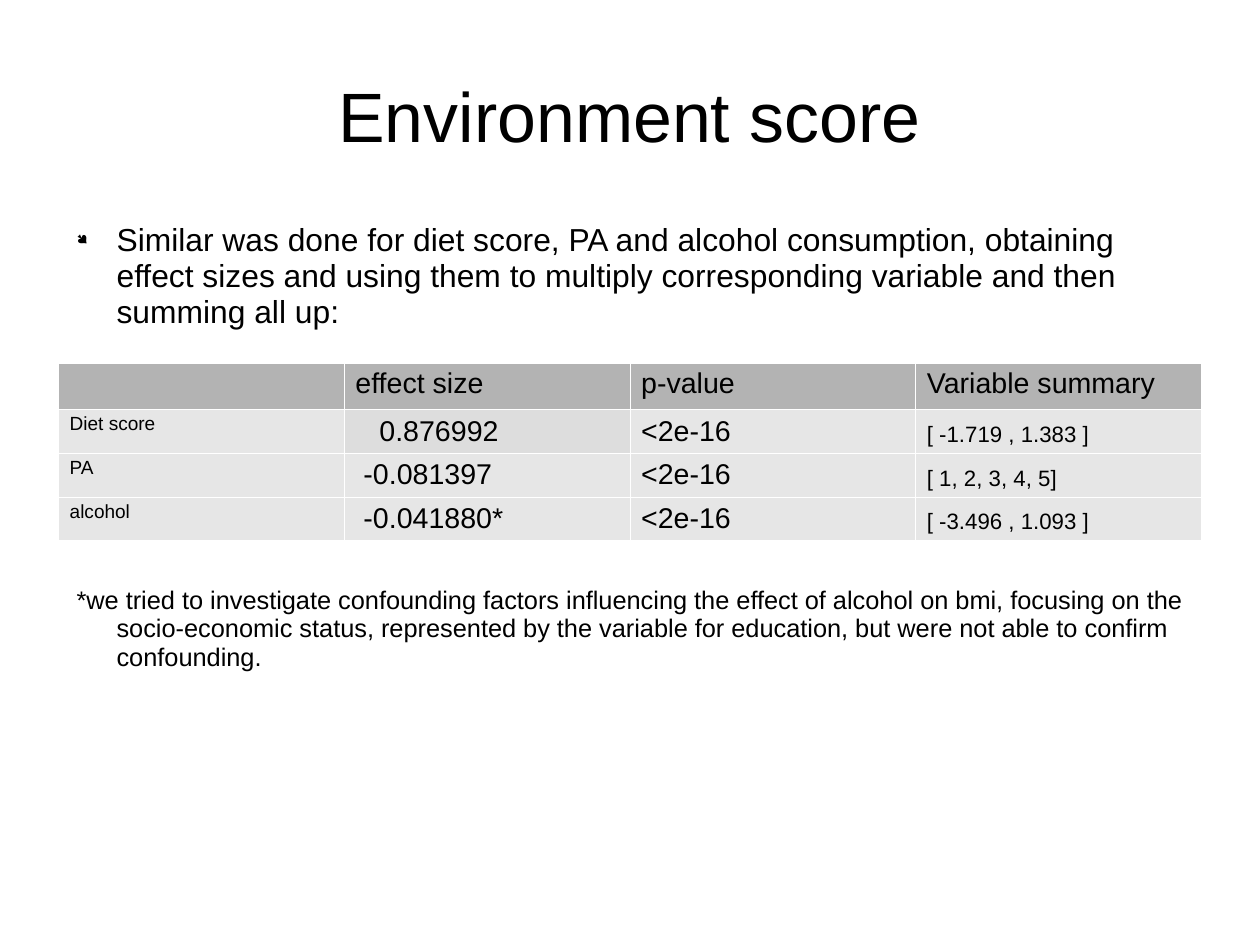
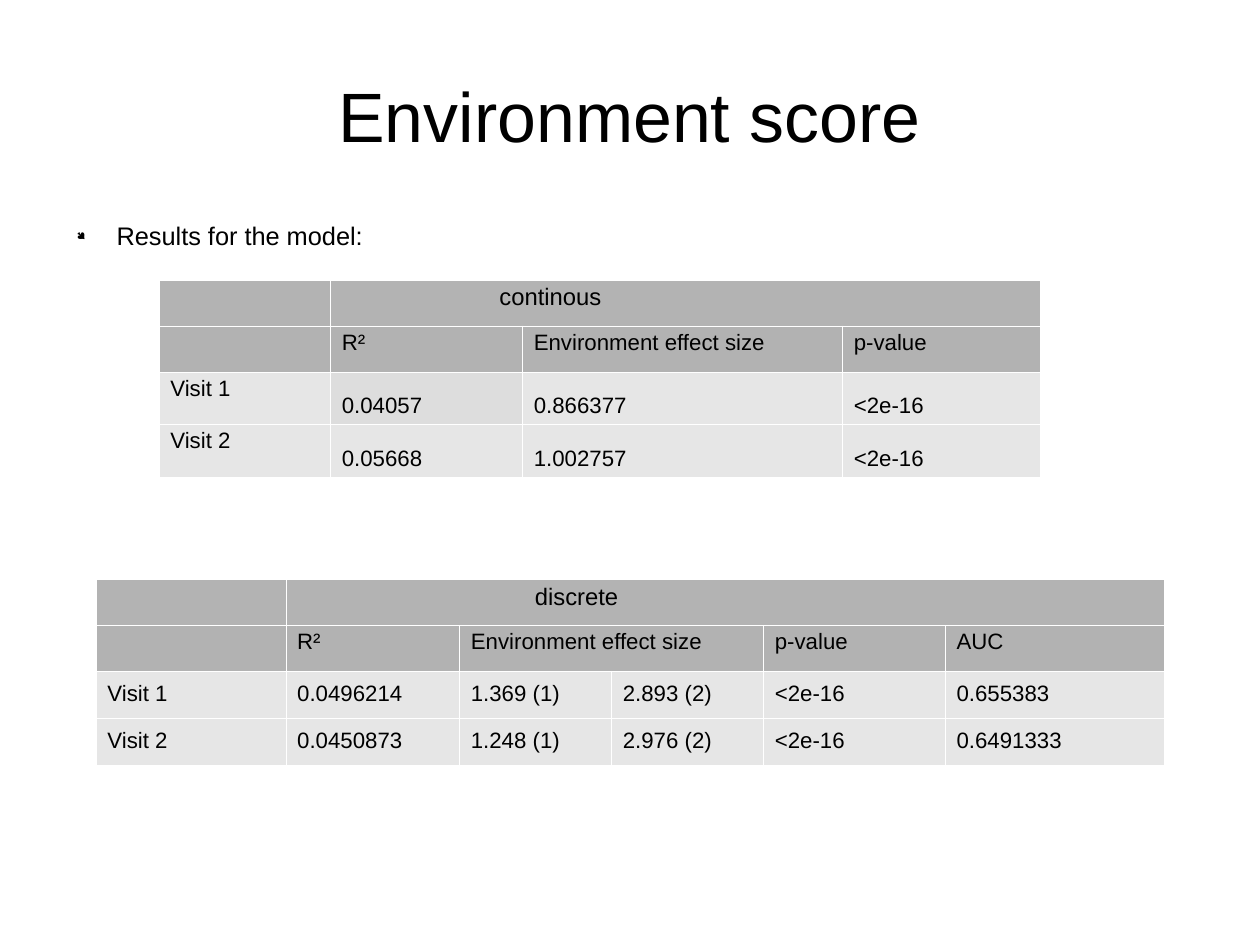
"""Build two slides on the environment score with their result tables."""
from dataclasses import dataclass
from lxml import etree
from pptx import Presentation
from pptx import util as u
from pptx.dml.color import RGBColor as Rgb
from pptx.enum import text as t
from pptx.oxml import parse_xml
from pptx.oxml.ns import nsdecls, qn


@dataclass(frozen=True)
class Theme:
    font: str = "Arial"
    ink: str = "000000"
    edge: str = "FFFFFF"
    heads: tuple = ("B3B3B3", "B2B2B2")
    row: str = "E6E6E6"
    mark: str = "DDDDDD"
    title: int = 44
    lead: int = 20
    text: int = 16
    big: int = 18
    group: int = 15
    cell: int = 14
    small: int = 12
    lines: float = 0.94


theme = Theme()


def style(para, size, align=t.PP_ALIGN.LEFT, left=0, first=0):
    para.alignment = align
    para.line_spacing = theme.lines
    props = para._p.get_or_add_pPr()
    props.set("marL", str(u.Inches(left)))
    props.set("indent", str(u.Inches(first)))
    for run in para.runs:
        font = run.font
        font.name, font.size, font.bold = theme.font, u.Pt(size), False
        font.color.rgb = Rgb.from_string(theme.ink)
    return props


def write(slide, top, high, words, size, bullet=False):
    box = slide.shapes.add_textbox(u.Inches(0.55), u.Inches(top), u.Inches(9.92), u.Inches(high))
    frame = box.text_frame
    frame.word_wrap = True
    frame.margin_left = frame.margin_top = frame.margin_right = frame.margin_bottom = 0
    frame.text = words
    props = style(frame.paragraphs[0], size, left=0.47, first=-0.35)
    if bullet:
        color = etree.SubElement(props, qn("a:buClr"))
        etree.SubElement(color, qn("a:srgbClr"), val=theme.ink)
        etree.SubElement(props, qn("a:buSzPct"), val="45000")
        etree.SubElement(props, qn("a:buFont"), typeface="Wingdings", charset="2")
        etree.SubElement(props, qn("a:buChar"), char="●")


low, mid = t.MSO_ANCHOR.BOTTOM, t.MSO_ANCHOR.MIDDLE
big, small, cell_pt = theme.big, theme.small, theme.cell

scores = dict(
    at=(0.51, 3.18), cols=[2.5] * 4, rows=[0.4] + [0.38] * 3, heads=1,
    sizes=[small, big, big, cell_pt], top=big, anchor=low, mark=(1, 1), spans=[],
    pads={(1, 1): 0.21, (2, 1): 0.07, (3, 1): 0.07},
    data=[["", "effect size", "p-value", "Variable summary"],
          ["Diet score", "0.876992", "<2e-16", "[ -1.719 , 1.383 ]"],
          ["PA", "-0.081397", "<2e-16", "[ 1, 2, 3, 4, 5]"],
          ["alcohol", "-0.041880*", "<2e-16", "[ -3.496 , 1.093 ]"]])

smooth = dict(
    at=(1.39, 2.45), cols=[1.5, 1.68, 2.8, 1.73], rows=[0.4, 0.4, 0.46, 0.46], heads=2,
    sizes=[cell_pt] * 4, top=theme.group, anchor=low, mark=(2, 1),
    spans=[(0, 1, 3)], pads={(0, 1): 1.38},
    data=[["", "continous", "", ""],
          ["", "R²", "Environment effect size", "p-value"],
          ["Visit 1", "0.04057", "0.866377", "<2e-16"],
          ["Visit 2", "0.05668", "1.002757", "<2e-16"]])

steps = dict(
    at=(0.84, 5.07), cols=[1.66, 1.52, 1.33, 1.33, 1.59, 1.92], rows=[0.4, 0.4, 0.41, 0.41],
    heads=2, sizes=[cell_pt] * 6, top=theme.group, anchor=mid, mark=None,
    spans=[(0, 1, 5), (1, 2, 3)], pads={(0, 1): 2.08},
    data=[["", "discrete", "", "", "", ""],
          ["", "R²", "Environment effect size", "", "p-value", "AUC"],
          ["Visit 1", "0.0496214", "1.369 (1)", "2.893 (2)", "<2e-16", "0.655383"],
          ["Visit 2", "0.0450873", "1.248 (1)", "2.976 (2)", "<2e-16", "0.6491333"]])

pages = [
    dict(lead="Similar was done for diet score, PA and alcohol consumption, obtaining effect sizes "
              "and using them to multiply corresponding variable and then summing all up:",
         size=theme.lead, high=1, tables=[scores],
         note="*we tried to investigate confounding factors influencing the effect of alcohol on bmi, "
              "focusing on the socio-economic status, represented by the variable for education, "
              "but were not able to confirm confounding."),
    dict(lead="Results for the model:", size=theme.text, high=0.3, tables=[smooth, steps], note=None),
]

deck = Presentation()
deck.slide_width, deck.slide_height = u.Emu(10080625), u.Emu(7559675)

for page in pages:
    slide = deck.slides.add_slide(deck.slide_layouts[5])
    title = slide.shapes.title
    title.left, title.top = u.Inches(0.55), u.Inches(0.33)
    title.width, title.height = u.Inches(9.92), u.Inches(1.38)
    frame = title.text_frame
    frame.text = "Environment score"
    frame.vertical_anchor = mid
    frame.margin_left = frame.margin_right = frame.margin_bottom = 0
    frame.margin_top = u.Inches(0.04)
    style(frame.paragraphs[0], theme.title, t.PP_ALIGN.CENTER)

    write(slide, 1.95, page["high"], page["lead"], page["size"], bullet=True)
    if page["note"]:
        write(slide, 5.13, 0.8, page["note"], theme.text)

    for plan in page["tables"]:
        cols, rows, heads = plan["cols"], plan["rows"], plan["heads"]
        left, top = plan["at"]
        grid = slide.shapes.add_table(len(rows), len(cols), u.Inches(left), u.Inches(top),
                                      u.Inches(sum(cols)), u.Inches(sum(rows))).table
        grid.first_row = grid.horz_banding = False
        for col, wide in zip(grid.columns, cols):
            col.width = u.Inches(wide)
        for row, high in zip(grid.rows, rows):
            row.height = u.Inches(high)
        for r, line in enumerate(plan["data"]):
            for c, words in enumerate(line):
                cell = grid.cell(r, c)
                cell.text = words
                fill, size, align = theme.row, plan["sizes"][c], t.PP_ALIGN.LEFT
                if r < heads:
                    fill = theme.heads[r]
                elif plan["anchor"] == mid or c:
                    cell.vertical_anchor = plan["anchor"]
                    if plan["anchor"] == low:
                        align = t.PP_ALIGN.JUSTIFY
                if (r, c) == plan["mark"]:
                    fill = theme.mark
                if r == 0:
                    size = plan["top"]
                style(cell.text_frame.paragraphs[0], size, align, plan["pads"].get((r, c), 0))
                cell.fill.solid()
                cell.fill.fore_color.rgb = Rgb.from_string(fill)
                for i, side in enumerate("LRTB"):
                    cell._tc.get_or_add_tcPr().insert(i, parse_xml(
                        f'<a:ln{side} {nsdecls("a")} w="{u.Pt(0.06)}"><a:solidFill>'
                        f'<a:srgbClr val="{theme.edge}"/></a:solidFill></a:ln{side}>'))
        for r, start, end in plan["spans"]:
            grid.cell(r, start).merge(grid.cell(r, end))

deck.save("out.pptx")
